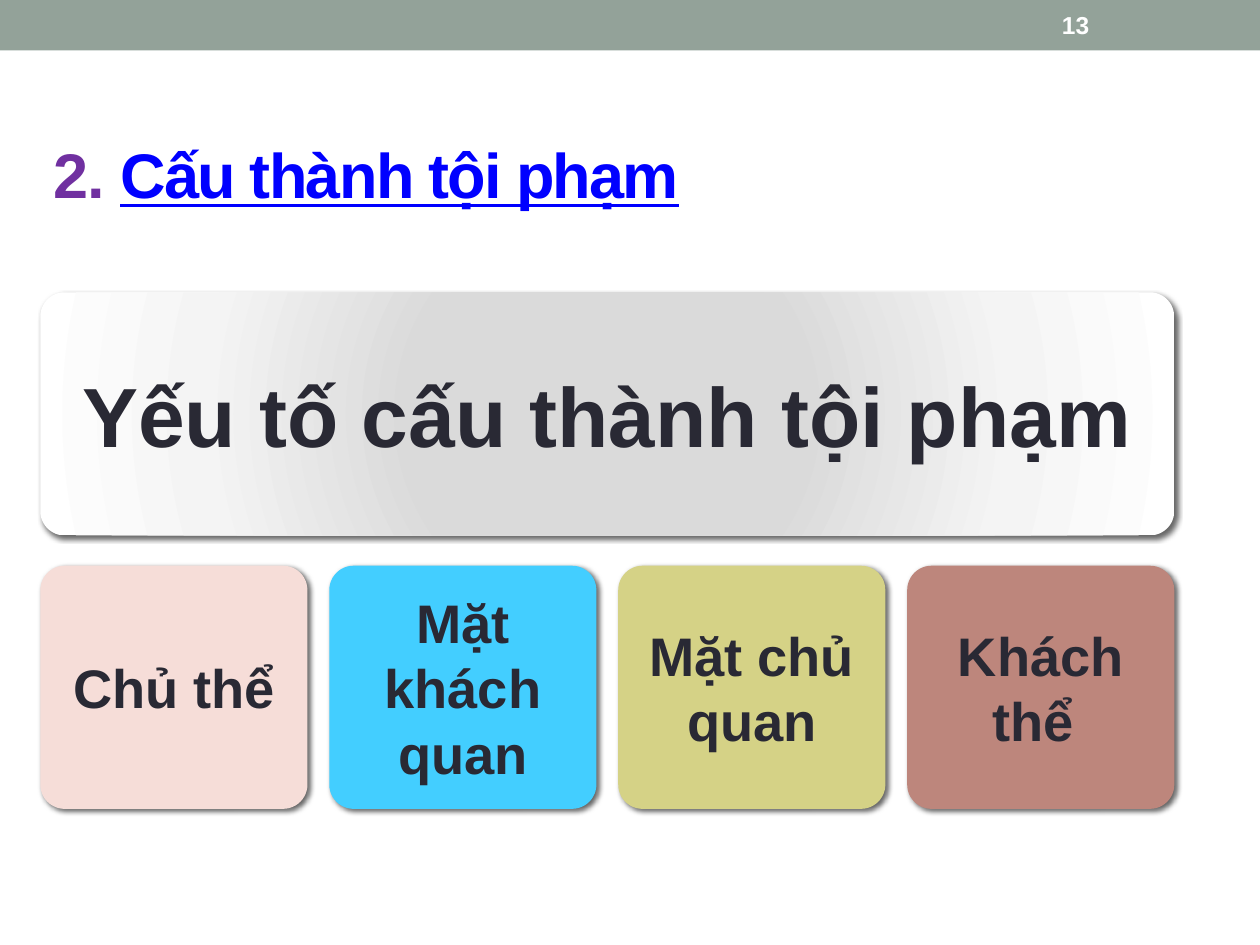
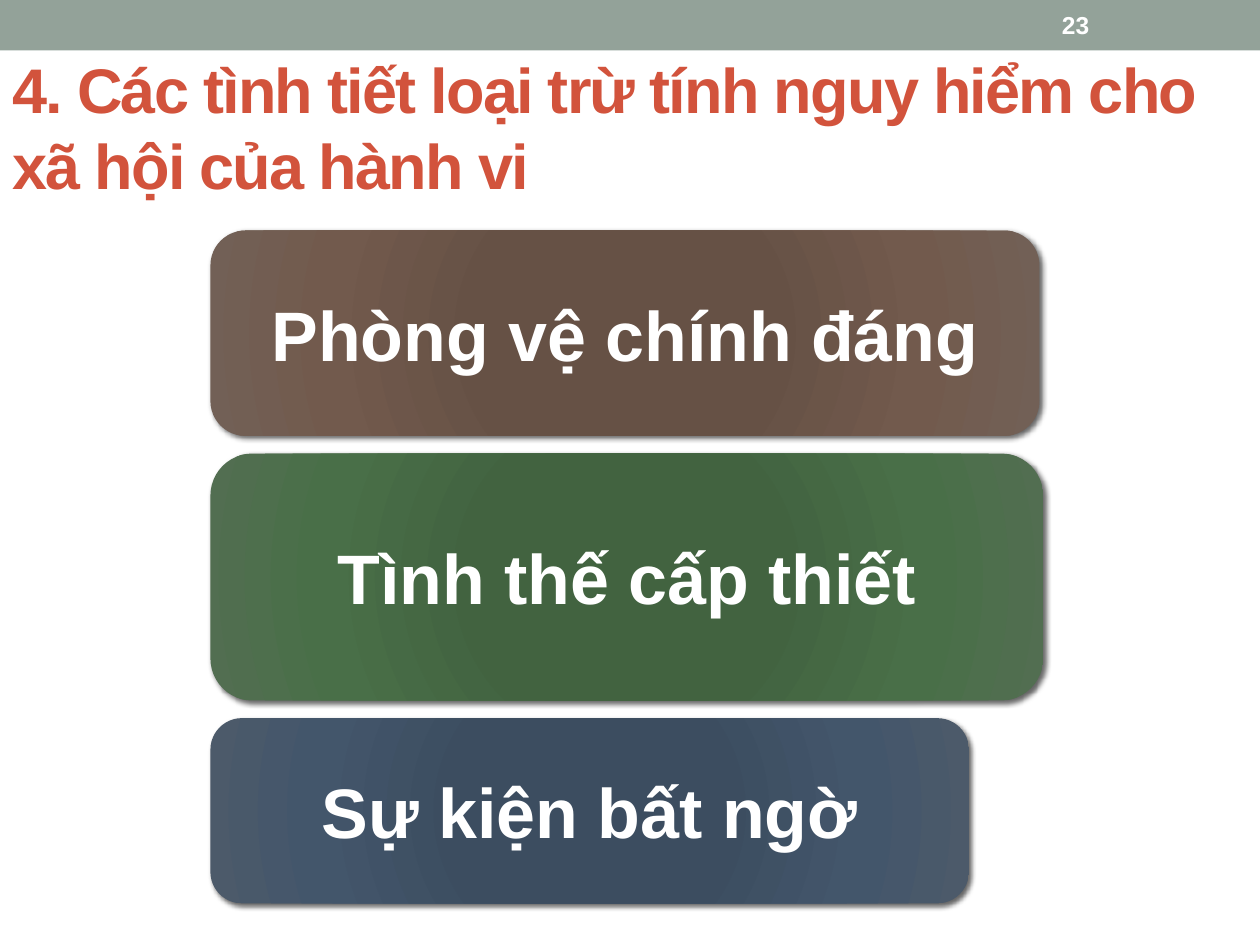
from dataclasses import dataclass

from lxml import etree
from pptx import Presentation
from pptx import util as u
from pptx.dml.color import RGBColor
from pptx.enum import shapes, text
from pptx.oxml import ns

COLOURS = {
    "band": "93A299",
    "white": "FFFFFF",
    "ink": "292934",
    "purple": "7030A0",
    "link": "0000FF",
    "orange": "D2533C",
    "shadow": "000000",
    "pink": "F6DDD8",
    "sky": "43CEFF",
    "olive": "D5D286",
    "clay": "BD867C",
}
GRADIENTS = {
    "silver": ("DADADA", "DADADA", "F4F4F4", "FFFFFF"),
    "brown": ("685044", "665145", "725A4D", "726056"),
    "green": ("40643F", "426340", "496F48", "526E51"),
    "blue": ("3B4D61", "3C4D60", "43566B", "4C5A6A"),
}
GRADIENT_STOPS = (0, 34, 70, 100)
FONT = "Arial"


@dataclass(frozen=True)
class Box:
    left: float
    top: float
    width: float
    height: float

    def lengths(self) -> tuple:
        return tuple(u.Inches(n) for n in (self.left, self.top, self.width, self.height))


@dataclass(frozen=True)
class Run:
    words: str
    size: float
    colour: str
    underline: bool = False
    spacing: float = 0


@dataclass(frozen=True)
class Card:
    box: Box
    run: Run
    fill: str
    corner: float
    inset_x: float
    inset_y: float


def colour(name: str) -> RGBColor:
    return RGBColor.from_string(COLOURS[name])


def add_element(parent, tag: str, **attributes):
    element = etree.SubElement(parent, ns.qn(tag))
    for name, value in attributes.items():
        element.set(name, str(value))
    return element


def write_runs(frame, runs: list[Run]) -> None:
    frame.word_wrap = True
    frame.vertical_anchor = text.MSO_ANCHOR.MIDDLE
    for item in runs:
        run = frame.paragraphs[0].add_run()
        run.text = item.words
        run.font.name = FONT
        run.font.size = u.Pt(item.size)
        run.font.bold = True
        run.font.color.rgb = colour(item.colour)
        if item.underline:
            run.font.underline = True
        if item.spacing:
            run.font._element.set("spc", str(round(item.spacing * 100)))


def add_text(slide, box: Box, runs: list[Run]) -> None:
    write_runs(slide.shapes.add_textbox(*box.lengths()).text_frame, runs)


def add_filled_shape(slide, kind, box: Box, fill: str):
    shape = slide.shapes.add_shape(kind, *box.lengths())
    shape.shadow.inherit = False
    shape.line.fill.background()
    if fill in GRADIENTS:
        set_radial_gradient(shape, GRADIENTS[fill])
    else:
        shape.fill.solid()
        shape.fill.fore_color.rgb = colour(fill)
    return shape


def set_radial_gradient(shape, tones: tuple[str, ...]) -> None:
    shape.fill.background()
    properties = shape._element.spPr
    gradient = etree.Element(ns.qn("a:gradFill"), rotWithShape="1")
    stops = add_element(gradient, "a:gsLst")
    for position, tone in zip(GRADIENT_STOPS, tones):
        stop = add_element(stops, "a:gs", pos=position * 1000)
        add_element(stop, "a:srgbClr", val=tone)
    circle = add_element(gradient, "a:path", path="circle")
    add_element(circle, "a:fillToRect", **dict.fromkeys("ltrb", 100000))
    properties.replace(properties.find(ns.qn("a:noFill")), gradient)


def add_soft_shadow(shape) -> None:
    effects = shape._element.spPr.find(ns.qn("a:effectLst"))
    shadow = add_element(effects, "a:outerShdw", blurRad=u.Pt(3), dist=u.Pt(2),
                         dir=45 * 60000, algn="tl", rotWithShape=0)
    tone = add_element(shadow, "a:srgbClr", val=COLOURS["shadow"])
    add_element(tone, "a:alpha", val=60000)


def add_card(slide, card: Card) -> None:
    shape = add_filled_shape(slide, shapes.MSO_SHAPE.ROUNDED_RECTANGLE, card.box, card.fill)
    shape.adjustments[0] = card.corner
    add_soft_shadow(shape)
    frame = shape.text_frame
    frame.margin_left = frame.margin_right = u.Inches(card.inset_x)
    frame.margin_top = frame.margin_bottom = u.Inches(card.inset_y)
    frame.paragraphs[0].alignment = text.PP_ALIGN.CENTER
    write_runs(frame, [card.run])


def title_run(words: str, tone: str, underline: bool = False) -> Run:
    return Run(words, 36, tone, underline, spacing=-1)


def add_slide(presentation, number: int, title_box: Box, title: list[Run]):
    """Add a blank slide with the top band, its number and a title."""
    slide = presentation.slides.add_slide(presentation.slide_layouts[6])
    add_filled_shape(slide, shapes.MSO_SHAPE.RECTANGLE, Box(0, 0, 10, 0.4), "band")
    add_text(slide, title_box, title)
    add_text(slide, Box(8.33, 0.02, 1.17, 0.36), [Run(str(number), 14, "white")])
    return slide


def build_elements_slide(presentation) -> None:
    title = [title_run("2. ", "purple"), title_run("Cấu thành tội phạm", "link", True)]
    slide = add_slide(presentation, 13, Box(0.33, 1, 9, 0.75), title)
    left, width, height, element_width = 0.32, 9, 1.93, 2.12
    heading = Run("Yếu tố cấu thành tội phạm", 48, "ink")
    add_card(slide, Card(Box(left, 2.32, width, height), heading, "silver", 0.1, 0.2, 0.2))

    elements = [("Chủ thể", "pink"), ("Mặt khách quan", "sky"),
                ("Mặt chủ quan", "olive"), ("Khách thể ", "clay")]
    step = (width - element_width) / (len(elements) - 1)
    for index, (words, fill) in enumerate(elements):
        box = Box(left + index * step, 4.49, element_width, height)
        add_card(slide, Card(box, Run(words, 31, "ink"), fill, 0.1, 0.13, 0.13))


def build_exemptions_slide(presentation) -> None:
    words = "4. Các tình tiết loại trừ tính nguy hiểm cho xã hội của hành vi"
    slide = add_slide(presentation, 23, Box(0, 0.42, 9.89, 1.17), [title_run(words, "orange")])
    exemptions = [("Phòng vệ chính đáng", "brown", 6.58, 1.63),
                  ("Tình thế cấp thiết", "green", 6.61, 1.96),
                  ("Sự kiện bất ngờ", "blue", 6.02, 1.47)]
    top, gap = 1.83, 0.14
    for words, fill, width, height in exemptions:
        box = Box(1.67, top, width, height)
        add_card(slide, Card(box, Run(words, 40, "white"), fill, 0.17, 0.17, 0.08))
        top += height + gap


def main() -> None:
    presentation = Presentation()
    presentation.slide_width = u.Inches(10)
    presentation.slide_height = u.Inches(7.5)
    build_elements_slide(presentation)
    build_exemptions_slide(presentation)
    presentation.save("out.pptx")


if __name__ == "__main__":
    main()
